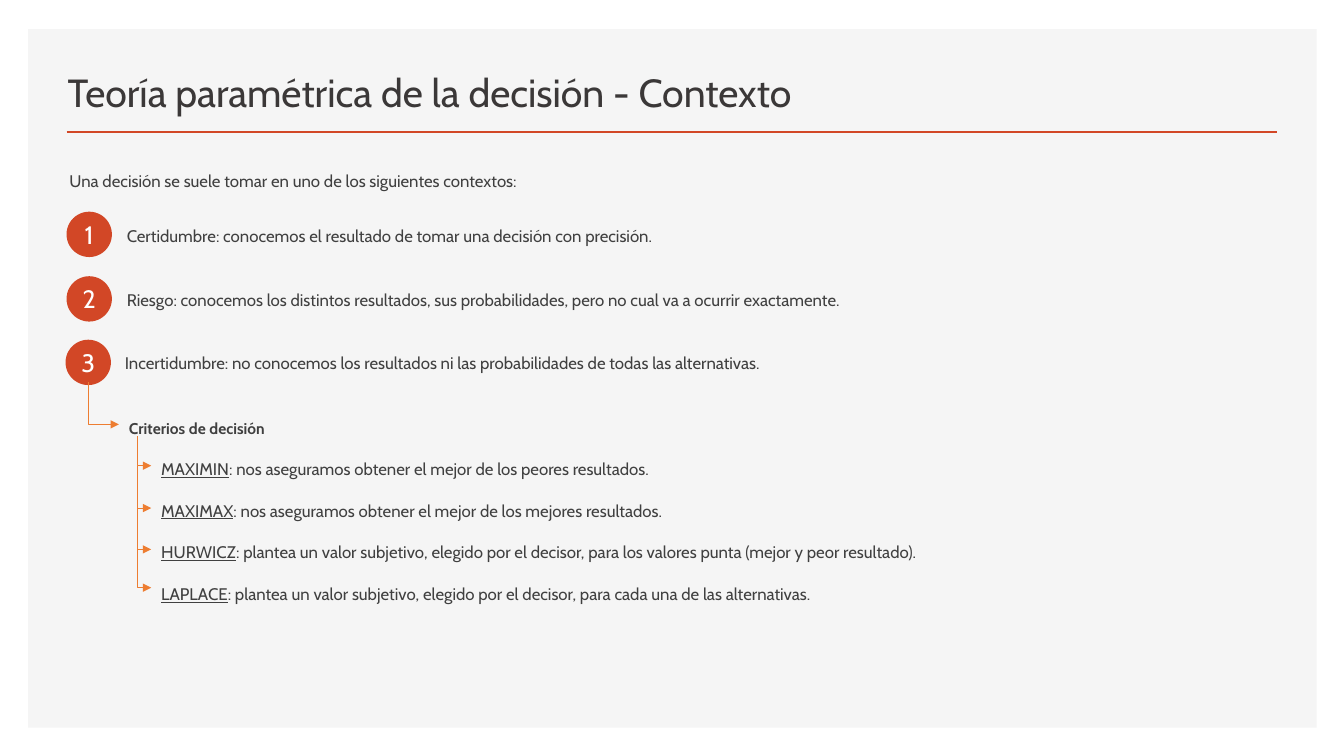
import itertools
from dataclasses import dataclass

import pptx
import pptx.dml.color
import pptx.enum.shapes
import pptx.enum.text
import pptx.oxml.ns
import pptx.util
from lxml import etree

SHAPES = pptx.enum.shapes.MSO_SHAPE
CONNECTORS = pptx.enum.shapes.MSO_CONNECTOR
ALIGN = pptx.enum.text.PP_ALIGN
ANCHOR = pptx.enum.text.MSO_ANCHOR
Pt = pptx.util.Pt
qn = pptx.oxml.ns.qn


@dataclass(frozen=True)
class Theme:
    font: str = "Cabin"
    panel: str = "F5F5F5"
    accent: str = "D24726"
    branch: str = "ED7D31"
    title: str = "3B3838"
    body: str = "404040"
    white: str = "FFFFFF"
    title_size: float = 28
    number_size: float = 18
    body_size: float = 12
    heading_size: float = 11.1


class ContextSlide:
    COLUMNS, ROWS = 133.3, 75

    def __init__(self, deck, theme):
        self.theme = theme
        self.cell_width = deck.slide_width / self.COLUMNS
        self.cell_height = deck.slide_height / self.ROWS
        self.slide = deck.slides.add_slide(deck.slide_layouts[5])
        self.shapes = self.slide.shapes

    def grid(self, column, row, width, height):
        return (round(column * self.cell_width), round(row * self.cell_height),
                round(width * self.cell_width), round(height * self.cell_height))

    def color(self, value):
        return pptx.dml.color.RGBColor.from_string(value)

    def style(self, paragraph, size, color, bold=False):
        font = paragraph.font
        font.name, font.size, font.bold = self.theme.font, Pt(size), bold
        font.color.rgb = self.color(color)

    def shape(self, kind, box, fill):
        shape = self.shapes.add_shape(kind, *self.grid(*box))
        shape.shadow.inherit = False
        shape.fill.solid()
        shape.fill.fore_color.rgb = self.color(fill)
        shape.line.fill.background()
        return shape

    def panel(self, *box):
        panel = self.shape(SHAPES.RECTANGLE, box, self.theme.panel)
        self.shapes.title.element.addprevious(panel.element)

    def title(self, text, *box):
        title = self.shapes.title
        title.left, title.top, title.width, title.height = self.grid(*box)
        frame = title.text_frame
        frame.text = text
        frame.vertical_anchor = ANCHOR.BOTTOM
        frame.auto_size = pptx.enum.text.MSO_AUTO_SIZE.NONE
        frame.paragraphs[0].alignment = ALIGN.LEFT
        self.style(frame.paragraphs[0], self.theme.title_size, self.theme.title)

    def text(self, text, *box, term="", size=None, bold=False, after=6):
        frame = self.shapes.add_textbox(*self.grid(*box)).text_frame
        frame.word_wrap = True
        paragraph = frame.paragraphs[0]
        paragraph.line_spacing = Pt(18)
        paragraph.space_before, paragraph.space_after = Pt(10), Pt(after)
        self.style(paragraph, size or self.theme.body_size, self.theme.body, bold)
        if term:
            underlined = paragraph.add_run()
            underlined.text = term
            underlined.font.underline = True
        paragraph.add_run().text = text

    def badge(self, number, column, row, size=4.5):
        badge = self.shape(SHAPES.OVAL, (column, row, size, size), self.theme.accent)
        frame = badge.text_frame
        frame.margin_left = frame.margin_right = frame.margin_top = frame.margin_bottom = 0
        frame.word_wrap = False
        frame.vertical_anchor = ANCHOR.MIDDLE
        frame.text = str(number)
        frame.paragraphs[0].alignment = ALIGN.CENTER
        self.style(frame.paragraphs[0], self.theme.number_size, self.theme.white)

    def connector(self, kind, start, end, color, width):
        line = self.shapes.add_connector(kind, *self.grid(*start, *end))
        line.line.color.rgb = self.color(color)
        line.line.width = Pt(width)
        etree.SubElement(line.element.spPr, qn("a:effectLst"))
        return line

    def rule(self, start, end):
        self.connector(CONNECTORS.STRAIGHT, start, end, self.theme.accent, 2)

    def branch(self, start, end):
        (x1, y1), (x2, y2) = start, end
        center_x, center_y = (x1 + x2) / 2, (y1 + y2) / 2
        half_drop, half_reach = (y2 - y1) / 2, (x2 - x1) / 2
        branch = self.connector(
            CONNECTORS.ELBOW,
            (center_x + half_drop, center_y - half_reach),
            (center_x - half_drop, center_y + half_reach),
            self.theme.branch, 0.5)
        properties = branch.element.spPr
        properties.find(qn("a:xfrm")).set("rot", str(270 * 60000))
        properties.find(qn("a:prstGeom")).set("prst", "bentConnector2")
        etree.SubElement(properties.find(qn("a:ln")), qn("a:tailEnd"), type="triangle")


CONTEXTS = [
    ("Certidumbre: conocemos el resultado de tomar una decisión con precisión.",
     6.6, 21, 11.6, 21.4, 62.4),
    ("Riesgo: conocemos los distintos resultados, sus probabilidades, "
     "pero no cual va a ocurrir exactamente.", 6.6, 27.4, 11.6, 27.8, 77.8),
    ("Incertidumbre: no conocemos los resultados ni las probabilidades "
     "de todas las alternativas.", 6.5, 33.7, 11.4, 34, 76.3),
]
CRITERIA = [
    ("MAXIMIN", ": nos aseguramos obtener el mejor de los peores resultados."),
    ("MAXIMAX", ": nos aseguramos obtener el mejor de los mejores resultados."),
    ("HURWICZ", ": plantea un valor subjetivo, elegido por el decisor, "
     "para los valores punta (mejor y peor resultado)."),
    ("LAPLACE", ": plantea un valor subjetivo, elegido por el decisor, "
     "para cada una de las alternativas."),
]
BRANCH_ROWS = [43.3, 46.2, 50.4, 54.5, 58.3]


def main():
    deck = pptx.Presentation()
    deck.slide_width = pptx.util.Inches(13.33)
    deck.slide_height = pptx.util.Inches(7.5)
    page = ContextSlide(deck, Theme())

    page.panel(2.8, 2.9, 127.8, 69.3)
    page.rule((6.6, 13.1), (126.7, 13.1))
    page.title("Teoría paramétrica de la decisión - Contexto", 5.7, 4.9, 75.2, 7)
    page.text("Una decisión se suele tomar en uno de los siguientes contextos:",
              5.9, 15.9, 55.9, 5.2, after=20)

    for number, (context, column, row, text_column, text_row, width) in enumerate(CONTEXTS, 1):
        page.badge(number, column, row)
        page.text(context, text_column, text_row, width, 3.4)

    page.text("Criterios de decisión", 11.8, 40.4, 17.1, 3.4,
              size=page.theme.heading_size, bold=True, after=20)
    page.branch((8.8, 37.9), (11.8, 42.1))

    for index, (term, meaning) in enumerate(CRITERIA):
        page.text(meaning, 15, 44.5 + 4.14 * index, 88.4, 3.4, term=term)
    for start_row, end_row in itertools.pairwise(BRANCH_ROWS):
        page.branch((13.6, start_row), (15, end_row))

    deck.save("out.pptx")


if __name__ == "__main__":
    main()
